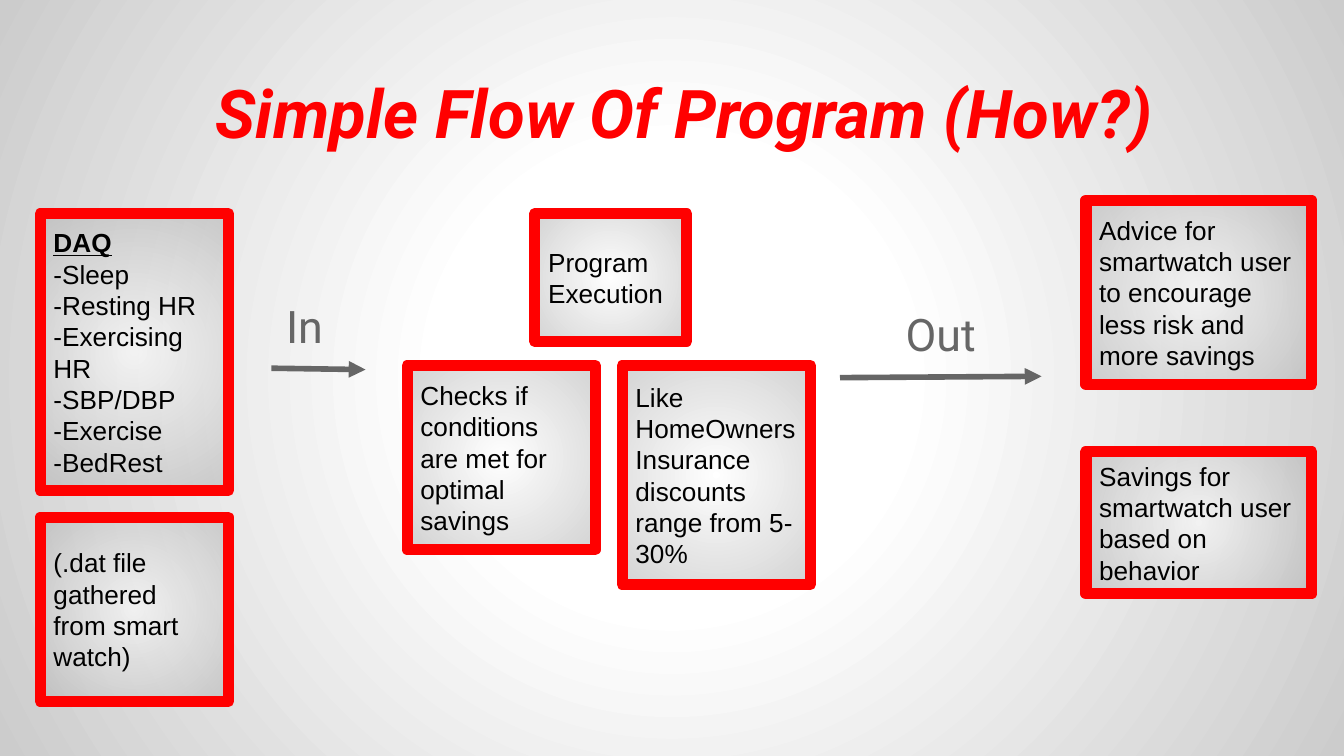
from lxml import etree
from pptx import Presentation
from pptx.dml.color import RGBColor
from pptx.enum.shapes import MSO_CONNECTOR, MSO_SHAPE
from pptx.enum.text import MSO_ANCHOR, PP_ALIGN
from pptx.oxml.ns import qn
from pptx.util import Pt

RED = RGBColor(0xFF, 0x00, 0x00)
GRAY = RGBColor(0x66, 0x66, 0x66)
BLACK = RGBColor(0x00, 0x00, 0x00)
WHITE = RGBColor(0xFF, 0xFF, 0xFF)
SILVER = RGBColor(0xB3, 0xB3, 0xB3)
PALE = RGBColor(0xCC, 0xCC, 0xCC)

INSET = 7.2
MEASUREMENTS = ["DAQ", "-Sleep", "-Resting HR", "-Exercising HR",
                "-SBP/DBP", "-Exercise", "-BedRest"]
TITLE_FONT = {"name": "Roboto", "size": Pt(36), "bold": True, "italic": True}
LABEL_FONT = {"name": "Roboto", "size": Pt(24)}
BODY_FONT = {"name": "Arial", "size": Pt(14)}
HEADING_FONT = {"bold": True, "underline": True}


def set_font(font, values, color=None):
    """Apply a dict of format values and a colour to a font."""
    for name, value in values.items():
        setattr(font, name, value)
    if color is not None:
        font.color.rgb = color


def set_radial(fill, element, stops, opacity=100):
    """Give a fill a circular gradient from (position, colour) stops."""
    fill.gradient()
    gradient = next(element.iter(qn("a:gradFill")))
    for child in list(gradient):
        gradient.remove(child)
    stop_list = etree.SubElement(gradient, qn("a:gsLst"))
    for position, color in stops:
        stop = etree.SubElement(stop_list, qn("a:gs"), pos=str(position * 1000))
        tint = etree.SubElement(stop, qn("a:srgbClr"), val=str(color))
        if opacity < 100:
            etree.SubElement(tint, qn("a:alpha"), val=str(opacity * 1000))
    circle = etree.SubElement(gradient, qn("a:path"), path="circle")
    center = dict.fromkeys("ltrb", "50000")
    etree.SubElement(circle, qn("a:fillToRect"), center)


def write_text(frame, lines, values, color, anchor=MSO_ANCHOR.TOP,
               align=PP_ALIGN.LEFT):
    """Fill a text frame with one paragraph for each line."""
    frame.word_wrap = True
    frame.vertical_anchor = anchor
    for side in ("left", "top", "right", "bottom"):
        setattr(frame, f"margin_{side}", Pt(INSET))
    frame.text = "\n".join(lines)
    for paragraph in frame.paragraphs:
        paragraph.alignment = align
        set_font(paragraph.runs[0].font, values, color)


def add_step(slide, box, lines, opacity=57):
    """Add a red-framed step and return its text frame."""
    step = slide.shapes.add_shape(MSO_SHAPE.RECTANGLE, *map(Pt, box))
    step.shadow.inherit = False
    set_radial(step.fill, step.element, [(0, WHITE), (100, SILVER)], opacity)
    step.line.color.rgb = RED
    step.line.width = Pt(6)
    etree.SubElement(step.line._get_or_add_ln(), qn("a:round"))
    write_text(step.text_frame, lines, BODY_FONT, BLACK, MSO_ANCHOR.MIDDLE)
    return step.text_frame


def add_title(slide, box):
    """Place and format the slide title."""
    title = slide.shapes.title
    title.left, title.top, title.width, title.height = map(Pt, box)
    write_text(title.text_frame, ["Simple Flow Of Program (How?)"],
               TITLE_FONT, RED, align=PP_ALIGN.CENTER)


def add_flow(slide, box, label, indent, label_width, drop):
    """Add a label above an arrow that spans the box."""
    left, top, width, height = box
    caption = slide.shapes.add_textbox(
        Pt(left + indent), Pt(top), Pt(label_width), Pt(51.12))
    write_text(caption.text_frame, [label], LABEL_FONT, GRAY)
    middle = top + height
    arrow = slide.shapes.add_connector(
        MSO_CONNECTOR.STRAIGHT, Pt(left), Pt(middle - drop / 2),
        Pt(left + width), Pt(middle + drop / 2))
    arrow.line.color.rgb = GRAY
    arrow.line.width = Pt(3)
    etree.SubElement(arrow.line._get_or_add_ln(), qn("a:tailEnd"), type="triangle")
    etree.SubElement(arrow.element.spPr, qn("a:effectLst"))


def add_inputs(slide, box):
    """Stack the measured data above the file they come from."""
    left, top, width, height = box
    data_height, file_height = 148.32, 98.64
    data = add_step(slide, (left, top, width, data_height), MEASUREMENTS, 59)
    set_font(data.paragraphs[0].runs[0].font, HEADING_FONT)
    add_step(slide, (left, top + height - file_height, width, file_height),
             ["(.dat file gathered from smart watch)"])


def add_program(slide, box):
    """Place the program step above its two checks."""
    left, top, width, height = box
    check_width, check_top, program_left = 100.8, top + 81.36, left + 68.4
    add_step(slide, (program_left, top, 81.36, 68.4), ["Program Execution"])
    add_step(slide, (left, check_top, check_width, 98.64),
             ["Checks if conditions are met for optimal savings"])
    add_step(slide, (left + width - check_width, check_top, check_width,
                     top + height - check_top),
             ["Like HomeOwners Insurance discounts range from 5-30%"])


def add_outputs(slide, box):
    """Stack the advice above the savings."""
    left, top, width, height = box
    savings_height = 76.32
    add_step(slide, (left, top, width, 98.64),
             ["Advice for smartwatch user to encourage less risk and more savings"])
    add_step(slide, (left, top + height - savings_height, width, savings_height),
             ["Savings for smartwatch user based on behavior"])


def main():
    """Build the slide and save it."""
    deck = Presentation()
    deck.slide_width, deck.slide_height = Pt(720), Pt(405)
    slide = deck.slides.add_slide(deck.slide_layouts.get_by_name("Title Only"))
    set_radial(slide.background.fill, slide.element,
               [(0, WHITE), (30, WHITE), (100, PALE)])
    add_title(slide, (30.96, 30.96, 671.76, 76.32))
    add_flow(slide, (145.44, 152.64, 50.4, 45), "In", 0.72, 48.96, 0.72)
    add_flow(slide, (450, 156.96, 108, 45), "Out", 28.08, 100.8, -0.72)
    add_inputs(slide, (21.6, 114.48, 100.8, 261.36))
    add_outputs(slide, (581.76, 107.28, 120.96, 210.96))
    add_program(slide, (218.16, 114.48, 216, 198.72))
    deck.save("out.pptx")


if __name__ == "__main__":
    main()
